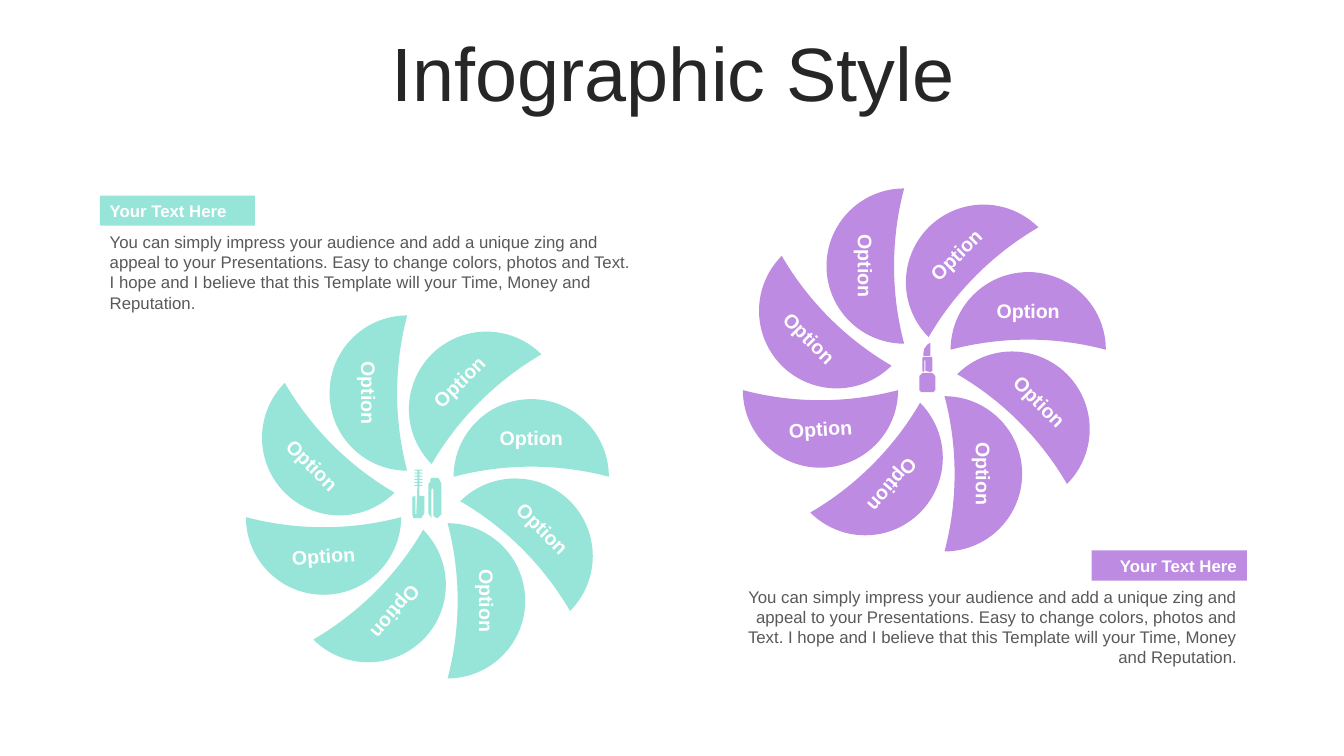
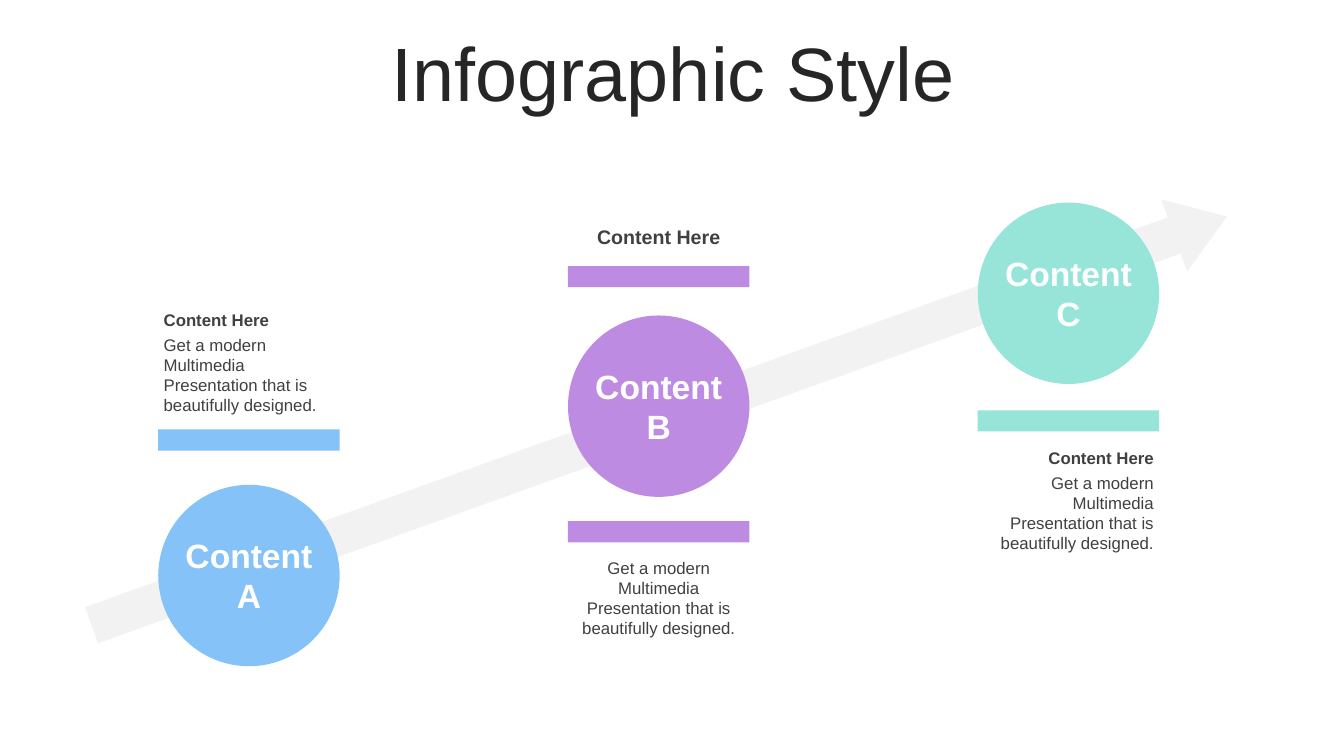
"""Build two infographic slides: a pair of petal wheels and a rising arrow with three stages."""
from math import cos, radians, sin

from pptx import Presentation
from pptx.dml.color import RGBColor
from pptx.enum.shapes import MSO_SHAPE
from pptx.enum.text import MSO_ANCHOR, PP_ALIGN
from pptx.util import Inches, Pt

MOON, OVAL = MSO_SHAPE.MOON, MSO_SHAPE.OVAL
RECT, ARROW = MSO_SHAPE.RECTANGLE, MSO_SHAPE.DOWN_ARROW
LEFT, CENTER, RIGHT = PP_ALIGN.LEFT, PP_ALIGN.CENTER, PP_ALIGN.RIGHT
TOP, MIDDLE = MSO_ANCHOR.TOP, MSO_ANCHOR.MIDDLE

CELL = Inches(0.1)
COLS, ROWS = 133.33, 75
MINT, PURPLE, BLUE = "96E5D8", "BE8BE2", "85C2F8"
WHITE, PALE, INK, BODY, DARK = "FFFFFF", "F2F2F2", "262626", "595959", "404040"


def tint(fill, color):
    fill.solid()
    fill.fore_color.rgb = RGBColor.from_string(color)


def put(s, text, box, kind=None, fill=None, size=12, color=WHITE, bold=False,
        align=LEFT, anchor=TOP, rotation=0, adjust=(), spacing=None):
    place = [int(v * CELL) for v in box]
    if kind is None:
        sp = s.shapes.add_textbox(*place)
    else:
        sp = s.shapes.add_shape(kind, *place)
        sp.shadow.inherit = False
        sp.line.fill.background()
        tint(sp.fill, fill)
    for i, value in enumerate(adjust):
        sp.adjustments[i] = value
    sp.rotation = rotation
    if not text:
        return
    tf = sp.text_frame
    tf.word_wrap = True
    tf.vertical_anchor = anchor
    for i, line in enumerate(text.split("\n")):
        p = tf.paragraphs[0] if i == 0 else tf.add_paragraph()
        p.alignment = align
        p.line_spacing = spacing
        r = p.add_run()
        r.text = line
        r.font.name, r.font.size, r.font.bold = "Arial", Pt(size), bold
        tint(r.font.fill, color)


prs = Presentation()
prs.slide_width, prs.slide_height = int(COLS * CELL), int(ROWS * CELL)
slides = []
for _ in range(2):
    s = prs.slides.add_slide(prs.slide_layouts[6])
    put(s, "Infographic Style", (3.5, 3.7, 126.6, 7.9), size=54, color=INK,
        align=CENTER, anchor=MIDDLE, spacing=0.9)
    slides.append(s)
wheels, stages = slides

PITCH = 3
bristles_right = [(x, y + dy) for y in range(0, 6 * PITCH, PITCH)
                  for x, dy in ((10, 0), (10, 1), (7, 1), (7, PITCH))]
bristles_left = [(12 - x, y) for x, y in reversed(bristles_right)]
wand = bristles_right + [
    (7, 26), (12, 26), (12, 43), (9, 48), (1, 48), (0, 44), (0, 27), (3, 26),
    (3, 44), (4, 44)] + bristles_left
cap = [(26, 8), (28, 12), (29, 14), (29, 44), (25, 48), (21, 46), (21, 20), (20, 18),
       (19, 20), (19, 48), (16, 43), (16, 14), (18, 12), (18, 9), (20, 8)]
holder = [(3, 30), (13, 30), (16, 33), (16, 47), (14, 49), (2, 49), (0, 47), (0, 33)]
sleeve = [(4, 14), (12, 14), (13, 15), (13, 28), (11, 29), (6, 28), (6, 17), (5, 18),
          (5, 28), (4, 29), (3, 28), (3, 15)]
tip = [(11, 0), (11, 13), (4, 13), (4, 11), (5, 6), (8, 2)]

BLURB = ("You can simply impress your audience and add a unique zing and appeal to your "
         "Presentations. Easy to change colors, photos and Text. I hope and I believe that "
         "this Template will your Time, Money and Reputation.")
RADIUS, LAG = 11.85, 29.6
PETAL_W, PETAL_H = 7.7, 15.4
LABEL_W, LABEL_H = 9.4, 3.4
label_turns = (90, 315, 0, 45, 90, 130.9, 356.3, 45)

for color, cx, cy, tag, blurb, align, icon, icon_at in (
        (MINT, 42.4, 49.3, (9.9, 19.4), (9.9, 22.5, 53.8, 9.1), LEFT,
         (wand, cap), (40.9, 46.6)),
        (PURPLE, 91.7, 36.7, (108.3, 54.6), (70.2, 57.7, 53.5, 9.1), RIGHT,
         (holder, sleeve, tip), (91.2, 34))):
    for i, turn in enumerate(label_turns):
        angle = radians(45 * i - LAG)
        x, y = cx + RADIUS * sin(angle), cy - RADIUS * cos(angle)
        put(wheels, "", (x - PETAL_W / 2, y - PETAL_H / 2, PETAL_W, PETAL_H),
            kind=MOON, fill=color, rotation=45 * i, adjust=(0.87,))
        put(wheels, "Option", (x - LABEL_W / 2, y - LABEL_H / 2, LABEL_W, LABEL_H),
            size=14, bold=True, align=CENTER, rotation=turn)
    put(wheels, "Your Text Here", (*tag, 15.4, 3), kind=RECT, fill=color, bold=True,
        align=align)
    put(wheels, BLURB, blurb, color=BODY, align=align)
    for outline in icon:
        left = min(x for x, y in outline)
        fb = wheels.shapes.build_freeform(*outline[0], scale=CELL / 10)
        fb.add_line_segments(outline[1:], close=True)
        sp = fb.convert_to_shape(*(int(v * CELL) for v in icon_at))
        sp.shadow.inherit = False
        sp.line.fill.background()
        tint(sp.fill, color)

put(stages, "", (61.6, -18.1, 7.6, 119.7), kind=ARROW, fill=PALE, rotation=250.2,
    adjust=(0.5, 0.73))
DISC, STEP, FIRST = 18, 40.65, 15.7
for i, (name, color, top, bars, head_top, head_size, body_top, align) in enumerate((
        ("A", BLUE, 48.1, (42.6,), 30.2, 12, 32.7, LEFT),
        ("B", PURPLE, 31.3, (26.4, 51.7), 21.7, 14, 54.8, CENTER),
        ("C", MINT, 20.1, (40.7,), 43.9, 12, 46.4, RIGHT))):
    x = FIRST + i * STEP
    put(stages, "", (x, top, DISC, DISC), kind=OVAL, fill=color)
    put(stages, f"Content\n{name}", (x, top + 4.4, DISC, 9.1), size=24, bold=True,
        align=CENTER, anchor=MIDDLE)
    for y in bars:
        put(stages, "", (x, y, DISC, 2.1), kind=RECT, fill=color)
    put(stages, "Content Here", (x - 0.45, head_top, 18.9, head_size / 4), size=head_size,
        color=DARK, bold=True, align=align, anchor=MIDDLE)
    put(stages, "Get a modern Multimedia Presentation that is beautifully designed.",
        (x - 0.45, body_top, 18.9, 9.1), color=DARK, align=align)

prs.save("out.pptx")
